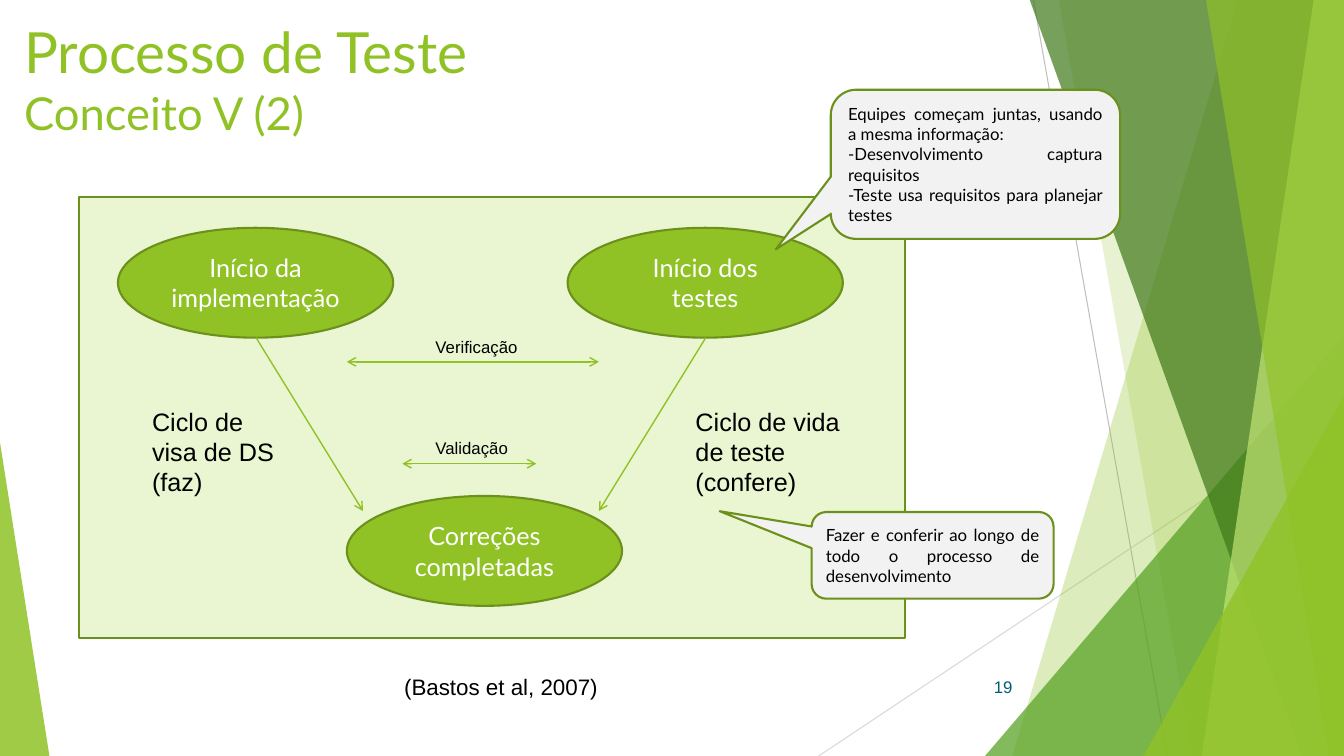
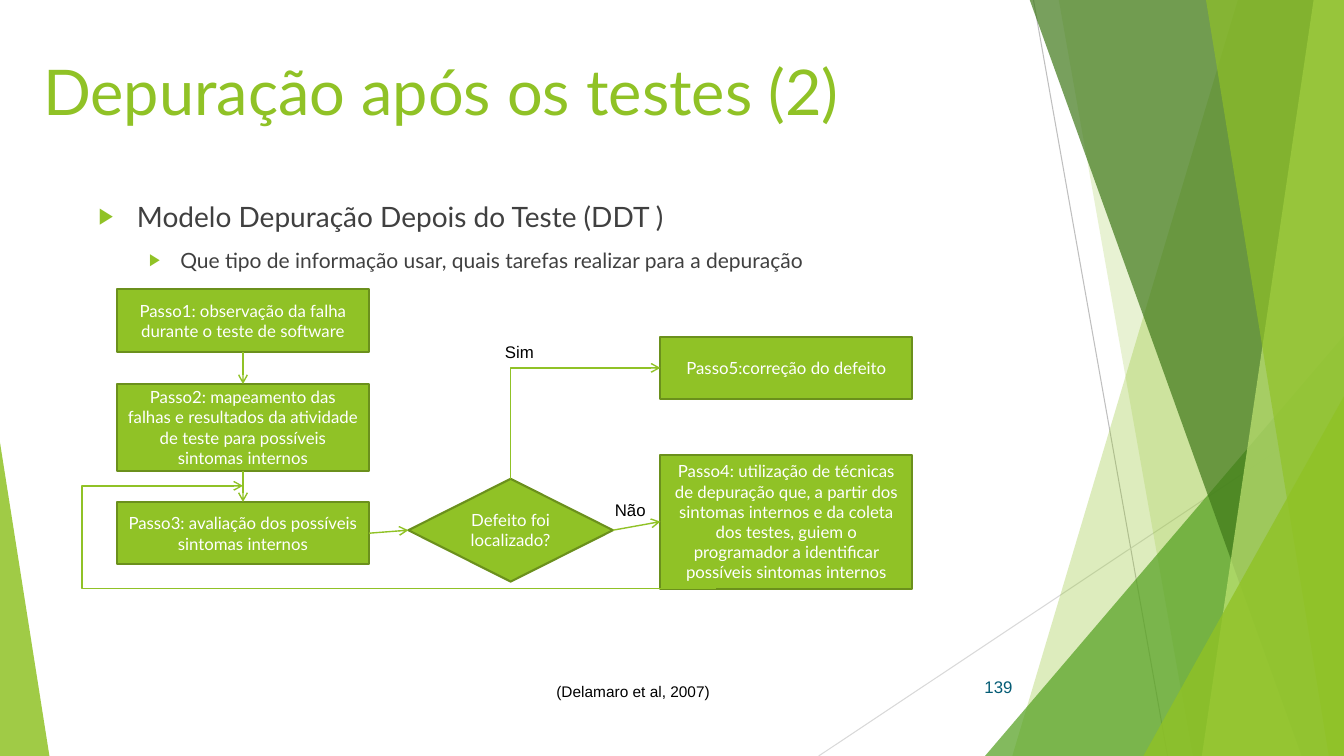
from dataclasses import dataclass

from lxml import etree
from pptx import Presentation
from pptx.dml.color import RGBColor
from pptx.enum.shapes import MSO_CONNECTOR, MSO_SHAPE
from pptx.enum.text import MSO_ANCHOR, PP_ALIGN
from pptx.oxml.ns import qn
from pptx.util import Inches, Pt

GREEN = RGBColor(0x90, 0xC2, 0x26)
EDGE = RGBColor(0x6B, 0x90, 0x1C)
LEAF = RGBColor(0x54, 0xA0, 0x21)
FOREST = RGBColor(0x3F, 0x78, 0x19)
LIME = RGBColor(0xC0, 0xE4, 0x74)
PALE = RGBColor(0xEA, 0xF6, 0xD1)
CLOUD = RGBColor(0xF2, 0xF2, 0xF2)
SILVER = RGBColor(0xBF, 0xBF, 0xBF)
MIST = RGBColor(0xD9, 0xD9, 0xD9)
TEAL = RGBColor(0x04, 0x5C, 0x75)
GRAY = RGBColor(0x40, 0x40, 0x40)
BLACK = RGBColor(0, 0, 0)
WHITE = RGBColor(0xFF, 0xFF, 0xFF)

RECT = MSO_SHAPE.RECTANGLE
OVAL = MSO_SHAPE.OVAL
DIAMOND = MSO_SHAPE.FLOWCHART_DECISION
WEDGE = MSO_SHAPE.ROUNDED_RECTANGULAR_CALLOUT
CORNER = MSO_SHAPE.ISOSCELES_TRIANGLE
LEFT, CENTER, RIGHT = PP_ALIGN.LEFT, PP_ALIGN.CENTER, PP_ALIGN.RIGHT
FULL = PP_ALIGN.JUSTIFY
TOP, MIDDLE = MSO_ANCHOR.TOP, MSO_ANCHOR.MIDDLE
STRAIGHT, ELBOW = MSO_CONNECTOR.STRAIGHT, MSO_CONNECTOR.ELBOW

HEAD, BODY = "Lato", "Arial"
WIDE, HIGH, ABOVE = 13.33, 7.5, -0.01


@dataclass
class Node:
    """A labelled shape of a diagram."""
    kind: int
    x: float
    y: float
    w: float
    h: float
    text: str = ""
    size: float = 12
    fill: RGBColor = GREEN
    ink: RGBColor = WHITE
    align: int = CENTER
    bends: tuple = ()


@dataclass
class Label:
    x: float
    y: float
    w: float
    h: float
    text: str
    size: float = 12
    wrap: bool = True


@dataclass
class Band:
    """A see-through band on the right: top x, foot x."""
    top: float
    foot: float
    fill: RGBColor
    alpha: int


@dataclass
class Wedge:
    """A see-through triangle with its tip at one end of its base."""
    x: float
    y: float
    w: float
    h: float
    tip: float
    fill: RGBColor
    alpha: int


@dataclass
class Bullet:
    text: str
    size: float
    indent: float
    hang: float
    level: int = 0


DECOR = [
    Band(12.28, 10.04, GREEN, 30),
    Band(10.5, 11.83, GREEN, 20),
    Wedge(9.77, 3.33, 3.56, 4.17, 1, LEAF, 72),
    Band(10.21, 12.91, FOREST, 70),
    Band(13.03, 11.92, LIME, 70),
    Band(11.96, 13.18, GREEN, 65),
    Wedge(11.34, 3.93, 1.99, 3.57, 1, GREEN, 80),
    Wedge(0, 4.39, 0.49, 3.11, 0, GREEN, 85),
]


def add(parent, tag, **attrs):
    item = etree.SubElement(parent, qn(tag))
    for key, value in attrs.items():
        item.set(key, str(value))
    return item


def write(frame, text, size=12, font=BODY, color=BLACK, align=LEFT,
          anchor=TOP, wrap=True, fresh=True):
    """Set one paragraph a line; fresh=False adds to what is there."""
    frame.word_wrap = wrap
    frame.vertical_anchor = anchor
    for index, line in enumerate(text.split("\n")):
        first = fresh and index == 0
        para = frame.paragraphs[0] if first else frame.add_paragraph()
        para.alignment = align
        run = para.add_run()
        run.text = line
        run.font.size = Pt(size)
        run.font.name = font
        run.font.color.rgb = color
    return para


def frame_at(slide, x, y, w, h):
    return slide.shapes.add_textbox(
        Inches(x), Inches(y), Inches(w), Inches(h)).text_frame


def paint(shape, fill, alpha=100, edge=None):
    shape.shadow.inherit = False
    shape.fill.solid()
    shape.fill.fore_color.rgb = fill
    if alpha < 100:
        tint = shape.fill._xPr.find(qn("a:solidFill"))[0]
        add(tint, "a:alpha", val=alpha * 1000)
    if edge is None:
        shape.line.fill.background()
    else:
        shape.line.color.rgb = edge
        shape.line.width = Pt(1.5)


def link(slide, start=(0, 0), end=(0, 0), color=GREEN, width=1.0,
         head=False, tail=False, kind=STRAIGHT, source=None, target=None):
    """Draw a connector; source and target are (shape, side) joints."""
    wire = slide.shapes.add_connector(
        kind, *(Inches(v) for v in (*start, *end)))
    if source:
        wire.begin_connect(*source)
    if target:
        wire.end_connect(*target)
    wire.line.color.rgb = color
    wire.line.width = Pt(width)
    stroke = wire.line._get_or_add_ln()
    if head:
        add(stroke, "a:headEnd", type="arrow")
    if tail:
        add(stroke, "a:tailEnd", type="arrow")
    add(wire._element.spPr, "a:effectLst")
    return wire


def bend(wire, preset, ratio=None):
    """Choose the elbow preset and the place of its turn."""
    geom = wire._element.spPr.find(qn("a:prstGeom"))
    geom.set("prst", preset)
    if ratio is not None:
        guides = geom.find(qn("a:avLst"))
        if guides is None:
            guides = add(geom, "a:avLst")
        add(guides, "a:gd", name="adj1", fmla=f"val {round(ratio * 100000)}")


def draw_band(slide, band: Band):
    pen = slide.shapes.build_freeform(Inches(band.top), Inches(ABOVE))
    corners = [(WIDE, ABOVE), (WIDE, HIGH), (band.foot, HIGH)]
    pen.add_line_segments([(Inches(x), Inches(y)) for x, y in corners])
    paint(pen.convert_to_shape(), band.fill, band.alpha)


def draw_node(slide, node: Node):
    shape = slide.shapes.add_shape(node.kind, Inches(node.x), Inches(node.y),
                                   Inches(node.w), Inches(node.h))
    for index, value in enumerate(node.bends):
        shape.adjustments[index] = value
    paint(shape, node.fill, edge=EDGE)
    if node.text:
        write(shape.text_frame, node.text, size=node.size, font=HEAD,
              color=node.ink, align=node.align, anchor=MIDDLE)
    return shape


def draw_wedge(slide, wedge: Wedge):
    shape = slide.shapes.add_shape(CORNER, Inches(wedge.x), Inches(wedge.y),
                                   Inches(wedge.w), Inches(wedge.h))
    shape.adjustments[0] = wedge.tip
    paint(shape, wedge.fill, wedge.alpha)


def draw_label(slide, label: Label):
    write(frame_at(slide, label.x, label.y, label.w, label.h), label.text,
          size=label.size, wrap=label.wrap)


def draw_list(slide, bullets):
    frame = frame_at(slide, 0.88, 1.93, 9.27, 0.78)
    for index, item in enumerate(bullets):
        para = write(frame, item.text, size=item.size, font=HEAD, color=GRAY,
                     fresh=index == 0)
        para.level = item.level
        props = para._p.get_or_add_pPr()
        props.set("marL", str(Inches(item.indent)))
        props.set("indent", str(-Inches(item.hang)))
        add(add(props, "a:buClr"), "a:srgbClr", val=GREEN)
        add(props, "a:buSzPct", val=80000)
        add(props, "a:buFont", typeface=BODY)
        add(props, "a:buChar", char="▶")
        if index:
            para.space_before = Pt(10)


def new_slide(deck, title, number, x, y, size, second="", small=0.0):
    """Start a slide with its backdrop, title and number."""
    slide = deck.slides.add_slide(deck.slide_layouts[6])
    link(slide, (10.25, 0), (11.58, HIGH), color=SILVER, width=0.75)
    link(slide, (WIDE, 4.03), (8.12, HIGH), color=MIST, width=0.75)
    for part in DECOR:
        if isinstance(part, Band):
            draw_band(slide, part)
        else:
            draw_wedge(slide, part)
    frame = frame_at(slide, x, y, 9.5, 1.25)
    write(frame, title, size=size, font=HEAD, color=GREEN)
    if second:
        write(frame, second, size=small, font=HEAD, color=GREEN, fresh=False)
    write(frame_at(slide, 9.39, 6.61, 0.75, 0.4), number, color=TEAL,
          align=RIGHT, anchor=MIDDLE)
    return slide


def build_process(deck):
    slide = new_slide(deck, "Processo de Teste", "19", 0.14, 0.12, 40.5,
                      second="Conceito V (2)", small=32.4)
    draw_node(slide, Node(RECT, 0.78, 1.95, 8.2, 4.38, fill=PALE))
    for x, y, text in [(1.17, 2.26, "Início da implementação"),
                       (5.63, 2.26, "Início dos testes"),
                       (3.44, 4.92, "Correções completadas")]:
        draw_node(slide, Node(OVAL, x, y, 2.73, 1.09, text, size=18))
    link(slide, (2.54, 3.35), (3.6, 5.07), tail=True)
    link(slide, (7, 3.35), (5.94, 5.07), tail=True)
    link(slide, (3.44, 3.59), (5.94, 3.59), head=True, tail=True)
    link(slide, (3.99, 4.6), (5.32, 4.6), head=True, tail=True)
    for label in [
        Label(1.41, 3.98, 1.48, 1.01, "Ciclo de visa de DS (faz)", 18),
        Label(6.8, 3.98, 1.87, 1.01, "Ciclo de vida de teste (confere)", 18),
        Label(4.22, 3.29, 1.25, 0.3, "Verificação"),
        Label(4.22, 4.29, 1.25, 0.3, "Validação"),
        Label(3.91, 6.63, 2.5, 0.37, "(Bastos et al, 2007)", 16),
    ]:
        draw_label(slide, label)
    note = {"fill": CLOUD, "ink": BLACK, "align": FULL}
    draw_node(slide, Node(
        WEDGE, 8.24, 0.89, 2.87, 1.48,
        "Equipes começam juntas, usando a mesma informação:\n"
        "-Desenvolvimento captura requisitos\n"
        "-Teste usa requisitos para planejar testes",
        bends=(-0.69, 0.57, 0.17), **note))
    draw_node(slide, Node(
        WEDGE, 8.05, 5.08, 2.4, 0.86,
        "Fazer e conferir ao longo de todo o processo de desenvolvimento",
        bends=(-0.88, -0.51, 0.17), **note))


def build_debug(deck):
    slide = new_slide(deck, "Depuração após os testes (2)", "139",
                      0.33, 0.47, 45)
    draw_list(slide, [
        Bullet("Modelo Depuração Depois do Teste (DDT )", 20, 0.38, 0.38),
        Bullet("Que tipo de informação usar, quais tarefas realizar para a "
               "depuração", 15, 0.81, 0.31, level=1),
    ])
    watch, trace, assess, found, guide, fix = [draw_node(slide, node) for node in [
        Node(RECT, 1.16, 2.87, 2.5, 0.62,
             "Passo1: observação da falha durante o teste de software"),
        Node(RECT, 1.16, 3.81, 2.5, 0.86,
             "Passo2: mapeamento das falhas e resultados da atividade de "
             "teste para possíveis sintomas internos"),
        Node(RECT, 1.16, 4.98, 2.5, 0.62,
             "Passo3: avaliação dos possíveis sintomas internos"),
        Node(DIAMOND, 4.05, 4.75, 2.03, 1.02, "Defeito foi localizado?"),
        Node(RECT, 6.55, 4.51, 2.5, 1.33,
             "Passo4: utilização de técnicas de depuração que, a partir dos "
             "sintomas internos e da coleta dos testes, guiem o programador "
             "a identificar possíveis sintomas internos"),
        Node(RECT, 6.55, 3.34, 2.5, 0.62, "Passo5:correção do defeito"),
    ]]
    for source, target in [((watch, 2), (trace, 0)), ((trace, 2), (assess, 0)),
                           ((assess, 3), (found, 1)), ((found, 3), (guide, 1))]:
        link(slide, source=source, target=target, tail=True)
    bend(link(slide, kind=ELBOW, source=(fix, 1), target=(found, 0),
              head=True), "bentConnector2")
    bend(link(slide, (7.1, 5.84), (2.41, 4.82), kind=ELBOW, tail=True),
         "bentConnector3", 1.34)
    for label in [
        Label(4.91, 3.34, 0.86, 0.3, "Sim"),
        Label(6, 4.91, 0.86, 0.3, "Não"),
        Label(5.42, 6.72, 1.73, 0.29, "(Delamaro et al, 2007)", 11, wrap=False),
    ]:
        draw_label(slide, label)


def main():
    deck = Presentation()
    deck.slide_width, deck.slide_height = Inches(WIDE), Inches(HIGH)
    build_process(deck)
    build_debug(deck)
    deck.save("out.pptx")


if __name__ == "__main__":
    main()
